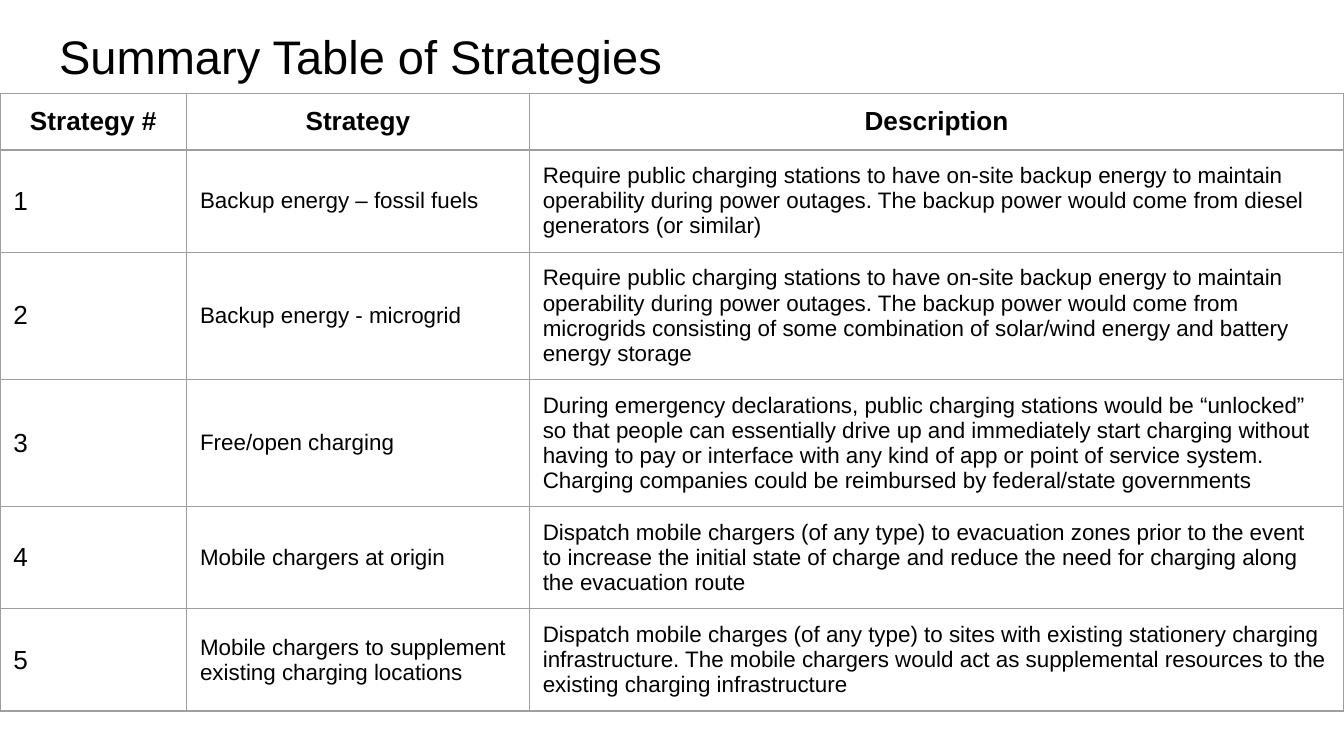
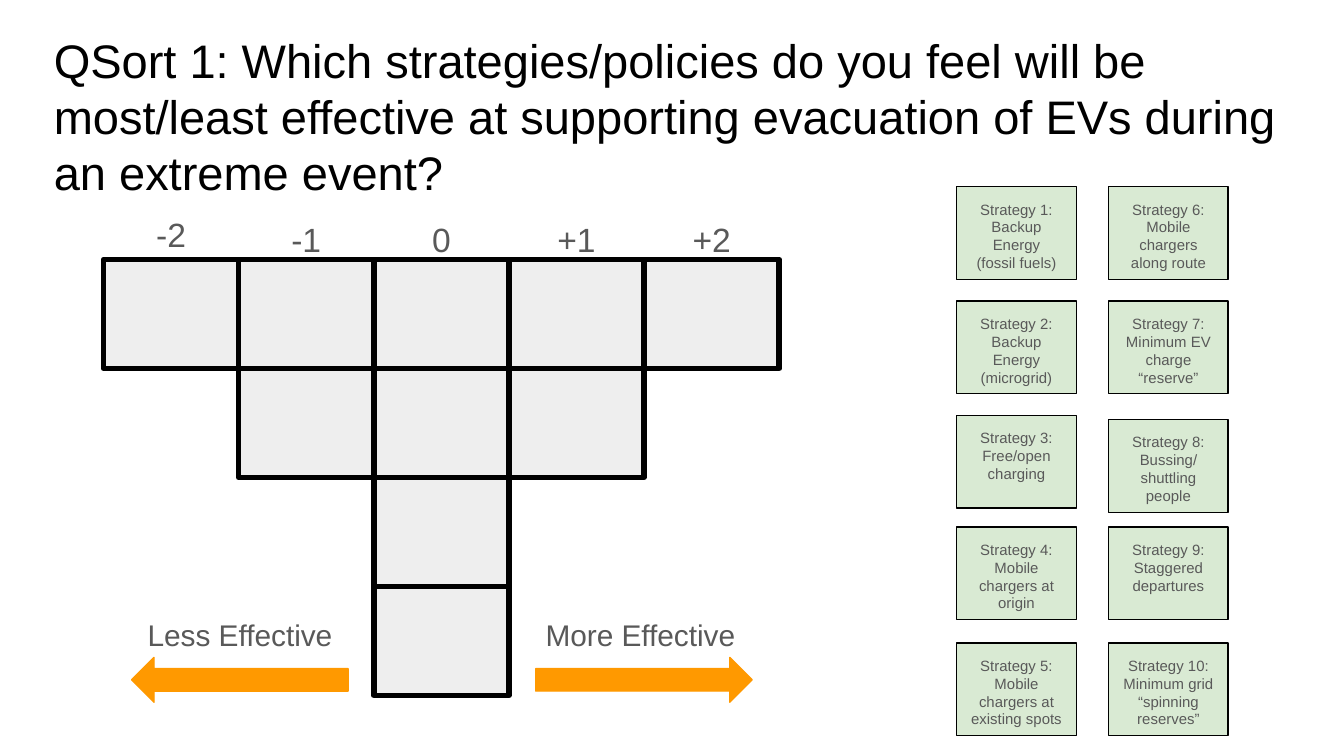
from lxml import etree
from pptx import Presentation
from pptx.dml.color import RGBColor
from pptx.enum import shapes, text
from pptx.oxml import ns
from pptx.util import Pt

BLACK = RGBColor(0x00, 0x00, 0x00)
GREY_TEXT = RGBColor(0x59, 0x59, 0x59)
GREY_BORDER = RGBColor(0x9E, 0x9E, 0x9E)
GREY_FILL = RGBColor(0xEE, 0xEE, 0xEE)
GREEN = RGBColor(0xD9, 0xEA, 0xD3)
ORANGE = RGBColor(0xFF, 0x99, 0x00)

FONT = "Arial"
INSET = 7.2
LEFT, CENTER = text.PP_ALIGN.LEFT, text.PP_ALIGN.CENTER
TOP, MIDDLE = text.MSO_ANCHOR.TOP, text.MSO_ANCHOR.MIDDLE
RECTANGLE, ARROW = shapes.MSO_SHAPE.RECTANGLE, shapes.MSO_SHAPE.RIGHT_ARROW


class Deck:
    """Holds the shared style and the current slide; lengths are in points."""

    def __init__(self):
        self.presentation = Presentation()
        self.presentation.slide_width = Pt(720)
        self.presentation.slide_height = Pt(405)
        self.slide = None

    def add_slide(self, title, left, top):
        layout = self.presentation.slide_layouts[5]
        self.slide = self.presentation.slides.add_slide(layout)
        shape = self.slide.shapes.title
        shape.left, shape.top = Pt(left), Pt(top)
        shape.width, shape.height = Pt(671), Pt(45.4)
        self.fill_text(shape.text_frame, title, 25.2, BLACK, LEFT)
        shape.text_frame.margin_top = Pt(8.8)
        shape.text_frame.paragraphs[0].line_spacing = Pt(30.2)

    def format_paragraphs(self, frame, size, color, align, bold=False):
        for paragraph in frame.paragraphs:
            paragraph.alignment = align
            font = paragraph.font
            font.name, font.size, font.bold = FONT, Pt(size), bold
            font.color.rgb = color

    def fill_text(self, frame, words, size, color, align):
        frame.text = words
        frame.word_wrap = True
        frame.auto_size = text.MSO_AUTO_SIZE.NONE
        frame.vertical_anchor = TOP
        frame.margin_left = frame.margin_right = Pt(INSET)
        frame.margin_top = frame.margin_bottom = Pt(INSET)
        self.format_paragraphs(frame, size, color, align)

    def label(self, words, left, top, width, height, size, align=LEFT):
        box = self.slide.shapes.add_textbox(Pt(left), Pt(top), Pt(width), Pt(height))
        self.fill_text(box.text_frame, words, size, GREY_TEXT, align)

    def shape(self, kind, left, top, width, height, fill, line, line_width=0.75):
        shape = self.slide.shapes.add_shape(
            kind, Pt(left), Pt(top), Pt(width), Pt(height))
        shape.shadow.inherit = False
        shape.fill.solid()
        shape.fill.fore_color.rgb = fill
        shape.line.color.rgb = line
        shape.line.width = Pt(line_width)
        return shape

    def card(self, words, left, top, width, height):
        shape = self.shape(RECTANGLE, left, top, width, height, GREEN, BLACK)
        self.fill_text(shape.text_frame, words, 8, GREY_TEXT, CENTER)

    def cell(self, cell, words, size, align, anchor, bold):
        cell.text = words
        cell.vertical_anchor = anchor
        cell.margin_left = cell.margin_right = Pt(INSET)
        cell.margin_top = cell.margin_bottom = Pt(INSET)
        self.format_paragraphs(cell.text_frame, size, BLACK, align, bold)
        properties = cell._tc.get_or_add_tcPr()
        for side in ("a:lnL", "a:lnR", "a:lnT", "a:lnB"):
            line = etree.SubElement(properties, ns.qn(side), w=str(Pt(0.75)))
            fill = etree.SubElement(line, ns.qn("a:solidFill"))
            etree.SubElement(fill, ns.qn("a:srgbClr"), val=str(GREY_BORDER))
        cell.fill.background()

    def table(self, rows, top, widths, header_height, row_height, height):
        frame = self.slide.shapes.add_table(
            len(rows), len(widths), Pt(0), Pt(top), Pt(sum(widths)), Pt(height))
        table = frame.table
        table.first_row = table.horz_banding = False
        for column, width in zip(table.columns, widths):
            column.width = Pt(width)
        for i, row in enumerate(rows):
            header = i == 0
            table.rows[i].height = Pt(header_height if header else row_height)
            for j, words in enumerate(row):
                self.cell(table.cell(i, j), words,
                          size=14 if header or j == 0 else 12,
                          align=CENTER if header else LEFT,
                          anchor=TOP if header or j == 2 else MIDDLE,
                          bold=header)
        frame.height = Pt(height)


STRATEGIES = [
    ("Strategy #", "Strategy", "Description"),
    ("1", "Backup energy – fossil fuels",
     "Require public charging stations to have on-site backup energy to maintain "
     "operability during power outages. The backup power would come from diesel "
     "generators (or similar)"),
    ("2", "Backup energy - microgrid",
     "Require public charging stations to have on-site backup energy to maintain "
     "operability during power outages. The backup power would come from microgrids "
     "consisting of some combination of solar/wind energy and battery energy storage"),
    ("3", "Free/open charging",
     "During emergency declarations, public charging stations would be “unlocked” so "
     "that people can essentially drive up and immediately start charging without "
     "having to pay or interface with any kind of app or point of service system. "
     "Charging companies could be reimbursed by federal/state governments"),
    ("4", "Mobile chargers at origin",
     "Dispatch mobile chargers (of any type) to evacuation zones prior to the event to "
     "increase the initial state of charge and reduce the need for charging along the "
     "evacuation route"),
    ("5", "Mobile chargers to supplement existing charging locations",
     "Dispatch mobile charges (of any type) to sites with existing stationery charging "
     "infrastructure. The mobile chargers would act as supplemental resources to the "
     "existing charging infrastructure"),
]

# Score, label top and number of cells of each column of the sorting grid
SCORES = [("-2", 107.2, 1), ("-1", 110, 2), ("0", 110, 4), ("+1", 110, 2), ("+2", 110, 1)]
GRID_LEFT, GRID_TOP, CELL_WIDTH, CELL_HEIGHT = 55.5, 139, 72.4, 58.4

# Left edge of each card column, then the top and words of its cards
CARD_COLUMNS = [
    (512.6, [(100, "Backup Energy\n(fossil fuels)"),
             (161.3, "Backup Energy (microgrid)"),
             (222.5, "Free/open charging"),
             (282.3, "Mobile chargers at origin"),
             (344.4, "Mobile chargers at existing spots")]),
    (594, [(100, "Mobile chargers along route"),
           (161.3, "Minimum EV charge “reserve”"),
           (224.8, "Bussing/ shuttling people"),
           (282.3, "Staggered departures"),
           (344.4, "Minimum grid “spinning reserves”")]),
]


def add_summary(deck):
    deck.add_slide("Summary Table of Strategies", 24.5, 5.8)
    deck.table(STRATEGIES, top=50.2, widths=(100, 183.6, 436.4),
               header_height=28.8, row_height=52.6, height=347.8)


def add_sorting(deck):
    deck.add_slide("QSort 1: Which strategies/policies do you feel will be most/least "
                   "effective at supporting evacuation of EVs during an extreme event?",
                   21.6, 8)

    # Sorting grid
    for i, (score, label_top, depth) in enumerate(SCORES):
        left = GRID_LEFT + i * CELL_WIDTH
        for j in range(depth):
            deck.shape(RECTANGLE, left, GRID_TOP + j * CELL_HEIGHT,
                       CELL_WIDTH, CELL_HEIGHT, GREY_FILL, BLACK, 3)
        deck.label(score, left, label_top, CELL_WIDTH, 28.8, 18, CENTER)

    # Strategy cards
    number = 0
    for left, cards in CARD_COLUMNS:
        for top, words in cards:
            number += 1
            deck.card(f"Strategy {number}:\n{words}", left, top, 64, 49.7)

    # Direction arrows
    for left, rotation in ((287, 0), (70.5, 180)):
        arrow = deck.shape(ARROW, left, 352.2, 116, 24, ORANGE, ORANGE)
        arrow.rotation = rotation
    deck.label("Less Effective", 72, 323.4, 116, 24, 16)
    deck.label("More Effective", 285.2, 323.4, 128, 24, 16)


def main():
    deck = Deck()
    add_summary(deck)
    add_sorting(deck)
    deck.presentation.save("out.pptx")


if __name__ == "__main__":
    main()
